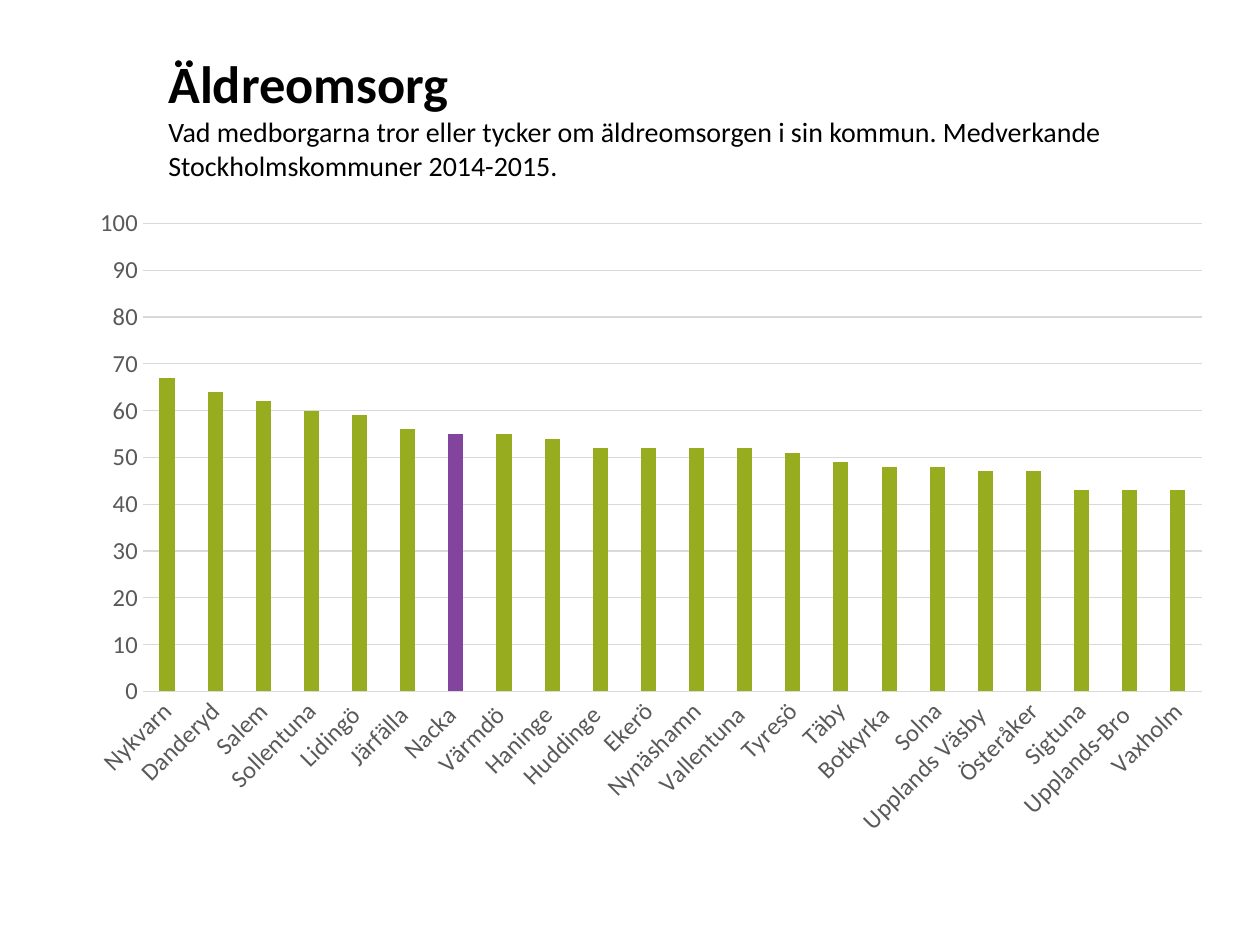
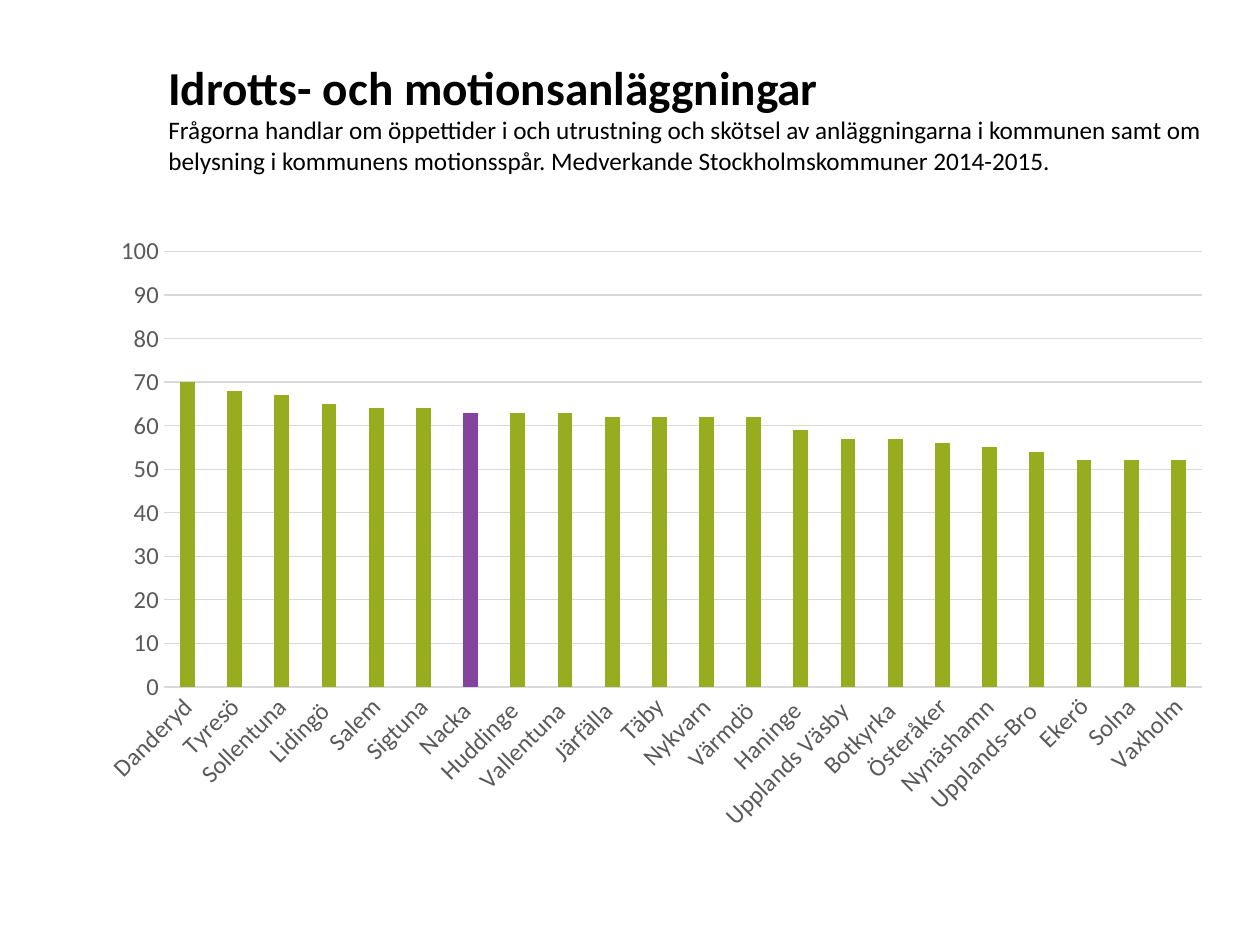
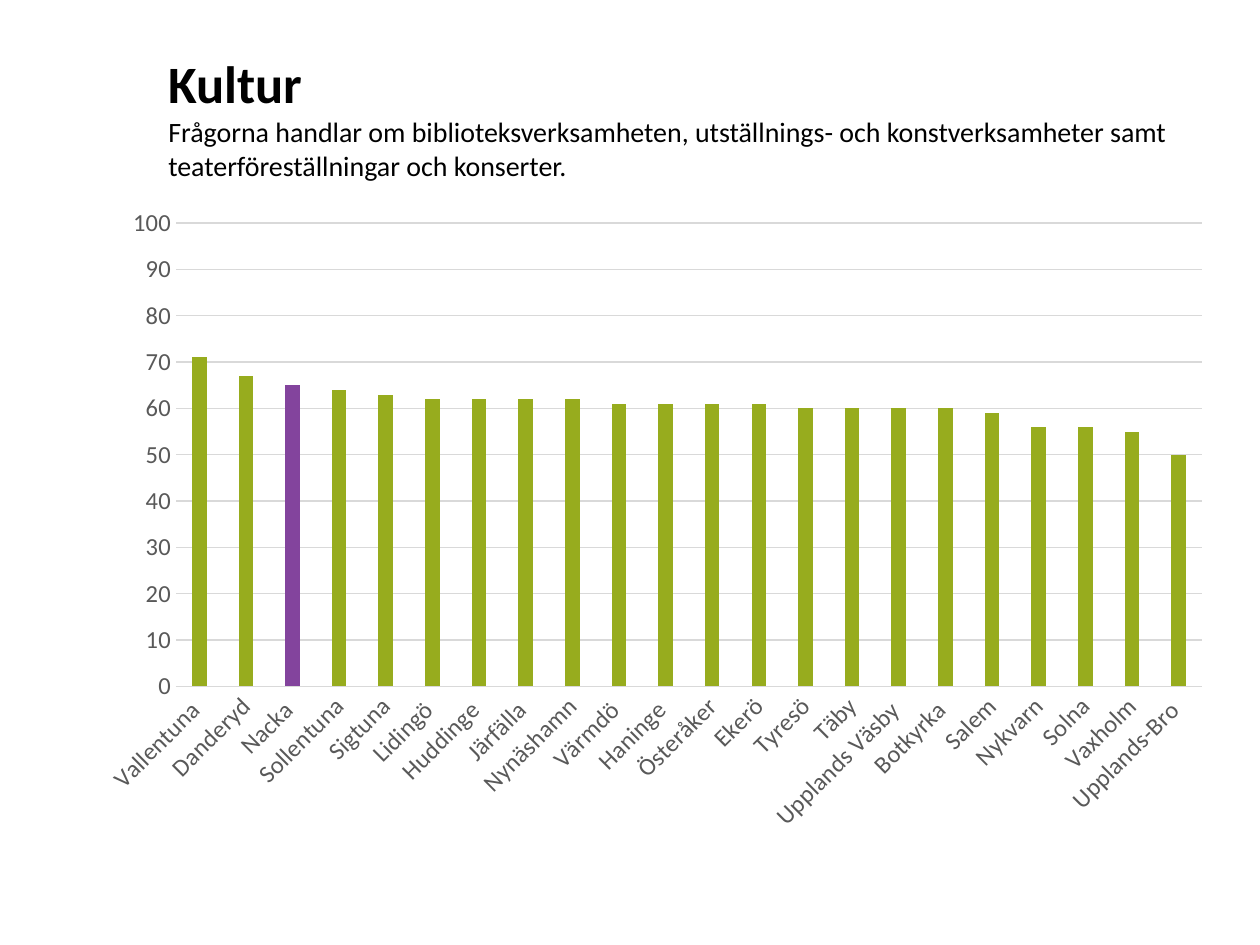
"""Build three slides that rank Stockholm municipalities in citizen ratings."""
from copy import deepcopy
from dataclasses import dataclass

from lxml import etree
from pptx import Presentation
from pptx.chart.chart import Chart
from pptx.chart.data import CategoryChartData
from pptx.dml.color import RGBColor
from pptx.enum.chart import XL_CHART_TYPE, XL_TICK_MARK
from pptx.enum.text import MSO_ANCHOR, MSO_AUTO_SIZE, PP_ALIGN
from pptx.oxml.ns import qn
from pptx.slide import Slide
from pptx.util import Pt

COLUMN_CLUSTERED = XL_CHART_TYPE.COLUMN_CLUSTERED
TICK_NONE = XL_TICK_MARK.NONE
ANCHOR_MIDDLE = MSO_ANCHOR.MIDDLE
AUTO_SIZE_NONE = MSO_AUTO_SIZE.NONE
ALIGN_LEFT = PP_ALIGN.LEFT

BLACK = RGBColor(0x00, 0x00, 0x00)
AXIS_GRAY = RGBColor(0x59, 0x59, 0x59)
GRID_GRAY = RGBColor(0xD9, 0xD9, 0xD9)
BAR_GREEN = RGBColor(0x97, 0xAC, 0x1E)
HIGHLIGHT_PURPLE = RGBColor(0x83, 0x44, 0x9D)

FONT_NAME = "Calibri"
HIGHLIGHTED = "Nacka "
LABEL_ROTATION = "-2700000"
TITLE_ONLY_LAYOUT = 5


@dataclass(frozen=True)
class Box:
    """Position and size in points."""

    left: float
    top: float
    width: float
    height: float


@dataclass(frozen=True)
class RatingSlide:
    """Content of one slide with a heading and ranked scores."""

    heading: str
    description: str
    chart_box: Box
    plot_box: Box
    scores: dict[str, int]
    heading_size: float = 30
    description_size: float = 16


TITLE_BOX = Box(89, 21.6, 611.28, 90)

RATING_SLIDES = [
    RatingSlide(
        "Äldreomsorg",
        "Vad medborgarna tror eller tycker om äldreomsorgen i sin kommun. "
        "Medverkande Stockholmskommuner 2014-2015.",
        Box(42.5, 111.6, 657.4, 373.7),
        Box(81.7, 127.7, 605.2, 267.4),
        {
            "Nykvarn": 67, "Danderyd": 64, "Salem": 62, "Sollentuna": 60,
            "Lidingö ": 59, "Järfälla ": 56, "Nacka ": 55, "Värmdö ": 55,
            "Haninge ": 54, "Huddinge ": 52, "Ekerö": 52, "Nynäshamn": 52,
            "Vallentuna ": 52, "Tyresö": 51, "Täby": 49, "Botkyrka ": 48,
            "Solna": 48, "Upplands Väsby ": 47, "Österåker": 47,
            "Sigtuna": 43, "Upplands-Bro ": 43, "Vaxholm": 43,
        },
    ),
    RatingSlide(
        "Idrotts- och motionsanläggningar",
        "Frågorna handlar om öppettider i och utrustning och skötsel av "
        "anläggningarna i kommunen samt om belysning i kommunens motionsspår. "
        "Medverkande Stockholmskommuner 2014-2015.",
        Box(48.2, 128.2, 652.3, 354.2),
        Box(93.7, 143.7, 593.2, 248.9),
        {
            "Danderyd": 70, "Tyresö": 68, "Sollentuna": 67, "Lidingö ": 65,
            "Salem": 64, "Sigtuna": 64, "Nacka ": 63, "Huddinge ": 63,
            "Vallentuna ": 63, "Järfälla ": 62, "Täby": 62, "Nykvarn": 62,
            "Värmdö ": 62, "Haninge ": 59, "Upplands Väsby ": 57,
            "Botkyrka ": 57, "Österåker": 56, "Nynäshamn": 55,
            "Upplands-Bro ": 54, "Ekerö": 52, "Solna": 52, "Vaxholm": 52,
        },
        heading_size=27,
        description_size=14.4,
    ),
    RatingSlide(
        "Kultur",
        "Frågorna handlar om biblioteksverksamheten, utställnings- och "
        "konstverksamheter samt teaterföreställningar och konserter.",
        Box(48.2, 111.6, 652.3, 370.8),
        Box(100.6, 127.5, 586.3, 264.8),
        {
            "Vallentuna ": 71, "Danderyd": 67, "Nacka ": 65, "Sollentuna": 64,
            "Sigtuna": 63, "Lidingö ": 62, "Huddinge ": 62, "Järfälla ": 62,
            "Nynäshamn": 62, "Värmdö ": 61, "Haninge ": 61, "Österåker": 61,
            "Ekerö": 61, "Tyresö": 60, "Täby": 60, "Upplands Väsby ": 60,
            "Botkyrka ": 60, "Salem": 59, "Nykvarn": 56, "Solna": 56,
            "Vaxholm": 55, "Upplands-Bro ": 50,
        },
    ),
]


def format_font(font, *, size: float, color: RGBColor, bold: bool = False) -> None:
    """Apply the shared typeface with a size, colour and weight."""
    font.name = FONT_NAME
    font.size = Pt(size)
    font.bold = bold
    font.color.rgb = color


def add_text(paragraph, text: str, *, size: float, color: RGBColor = BLACK,
             bold: bool = False, line_break: bool = False) -> None:
    """Add a formatted run, with an equally formatted line break if wanted."""
    run = paragraph.add_run()
    run.text = text
    format_font(run.font, size=size, color=color, bold=bold)
    if line_break:
        paragraph.add_line_break()
        paragraph._p[-1].append(deepcopy(run._r.rPr))


def add_title(slide: Slide, content: RatingSlide) -> None:
    """Fill the title placeholder with the heading and its description."""
    title = slide.shapes.title
    title.left, title.top = Pt(TITLE_BOX.left), Pt(TITLE_BOX.top)
    title.width, title.height = Pt(TITLE_BOX.width), Pt(TITLE_BOX.height)
    frame = title.text_frame
    frame.word_wrap = True
    frame.auto_size = AUTO_SIZE_NONE
    frame.vertical_anchor = ANCHOR_MIDDLE
    paragraph = frame.paragraphs[0]
    paragraph.alignment = ALIGN_LEFT
    add_text(paragraph, content.heading, size=content.heading_size,
             bold=True, line_break=True)
    add_text(paragraph, content.description, size=content.description_size)


def format_line(line) -> None:
    """Draw a thin light gray line."""
    line.color.rgb = GRID_GRAY
    line.width = Pt(0.75)


def format_axes(chart: Chart) -> None:
    """Style both axes, the gridlines and the slanted category labels."""
    category_axis, value_axis = chart.category_axis, chart.value_axis
    for axis in (category_axis, value_axis):
        axis.major_tick_mark = axis.minor_tick_mark = TICK_NONE
        format_font(axis.tick_labels.font, size=14, color=AXIS_GRAY)
    format_line(category_axis.format.line)
    category_axis._element.txPr.bodyPr.set("rot", LABEL_ROTATION)
    value_axis.minimum_scale, value_axis.maximum_scale = 0, 100
    value_axis.major_unit = 10
    value_axis.format.line.fill.background()
    format_line(value_axis.major_gridlines.format.line)


def place_plot(chart: Chart, chart_box: Box, plot_box: Box) -> None:
    """Fix the inner plot area at a place given in slide points."""
    plot_area = chart._chartSpace.chart.plotArea
    for automatic_layout in plot_area.findall(qn("c:layout")):
        plot_area.remove(automatic_layout)
    layout = etree.SubElement(plot_area, qn("c:layout"))
    plot_area.insert(0, layout)
    manual_layout = etree.SubElement(layout, qn("c:manualLayout"))
    settings = {
        "layoutTarget": "inner",
        "xMode": "edge",
        "yMode": "edge",
        "x": (plot_box.left - chart_box.left) / chart_box.width,
        "y": (plot_box.top - chart_box.top) / chart_box.height,
        "w": plot_box.width / chart_box.width,
        "h": plot_box.height / chart_box.height,
    }
    for name, value in settings.items():
        etree.SubElement(manual_layout, qn(f"c:{name}")).set("val", str(value))


def add_rating_chart(slide: Slide, content: RatingSlide) -> None:
    """Add the column chart and highlight one municipality."""
    data = CategoryChartData()
    data.categories = list(content.scores)
    data.add_series("Series 1", list(content.scores.values()))
    box = content.chart_box
    chart = slide.shapes.add_chart(
        COLUMN_CLUSTERED, Pt(box.left), Pt(box.top),
        Pt(box.width), Pt(box.height), data,
    ).chart
    chart.has_title = False
    chart.has_legend = False
    format_font(chart.font, size=10, color=BLACK)
    format_axes(chart)
    place_plot(chart, box, content.plot_box)

    plot = chart.plots[0]
    plot.gap_width, plot.overlap = 219, -27
    plot.vary_by_categories = False
    series = plot.series[0]
    highlighted_point = series.points[list(content.scores).index(HIGHLIGHTED)]
    for bar, color in ((series, BAR_GREEN), (highlighted_point, HIGHLIGHT_PURPLE)):
        bar.format.fill.solid()
        bar.format.fill.fore_color.rgb = color


def main() -> None:
    """Build and save the presentation."""
    presentation = Presentation()
    presentation.slide_width, presentation.slide_height = Pt(720), Pt(540)
    layout = presentation.slide_layouts[TITLE_ONLY_LAYOUT]
    for content in RATING_SLIDES:
        slide = presentation.slides.add_slide(layout)
        add_title(slide, content)
        add_rating_chart(slide, content)
    presentation.save("out.pptx")


if __name__ == "__main__":
    main()
